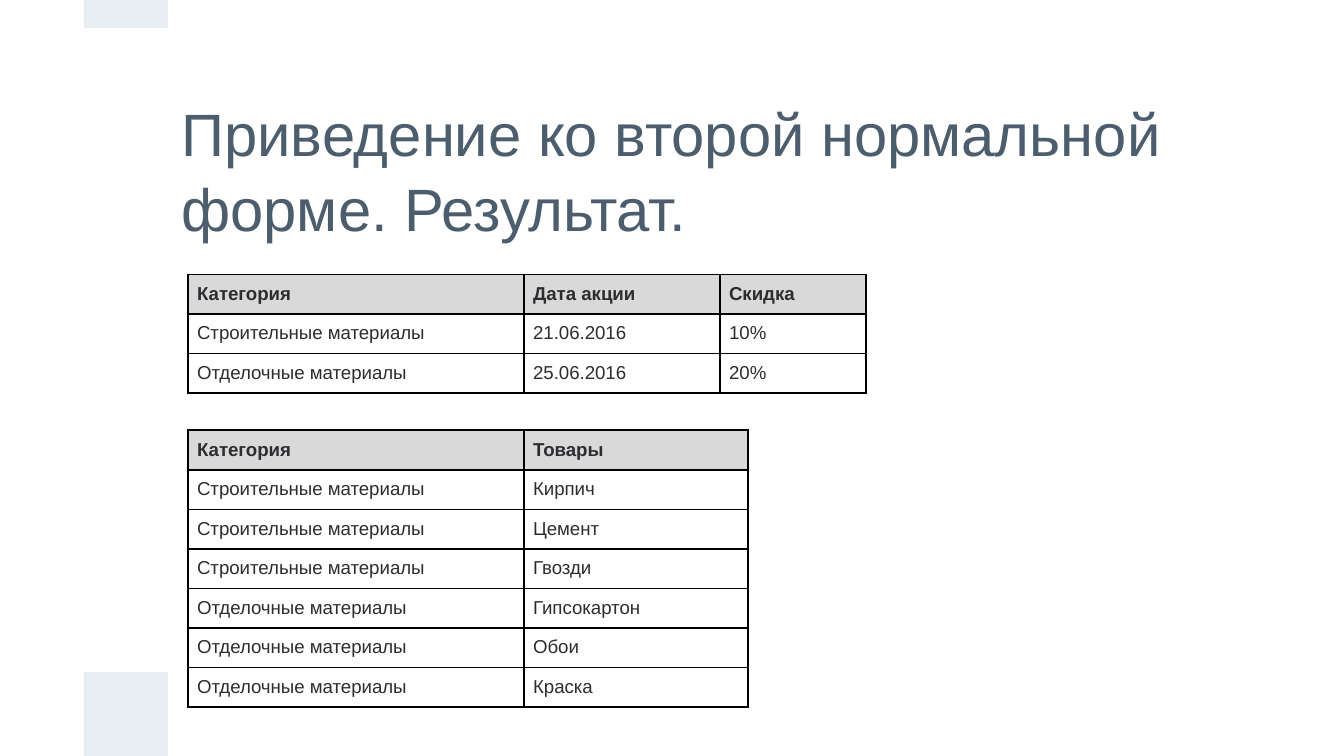
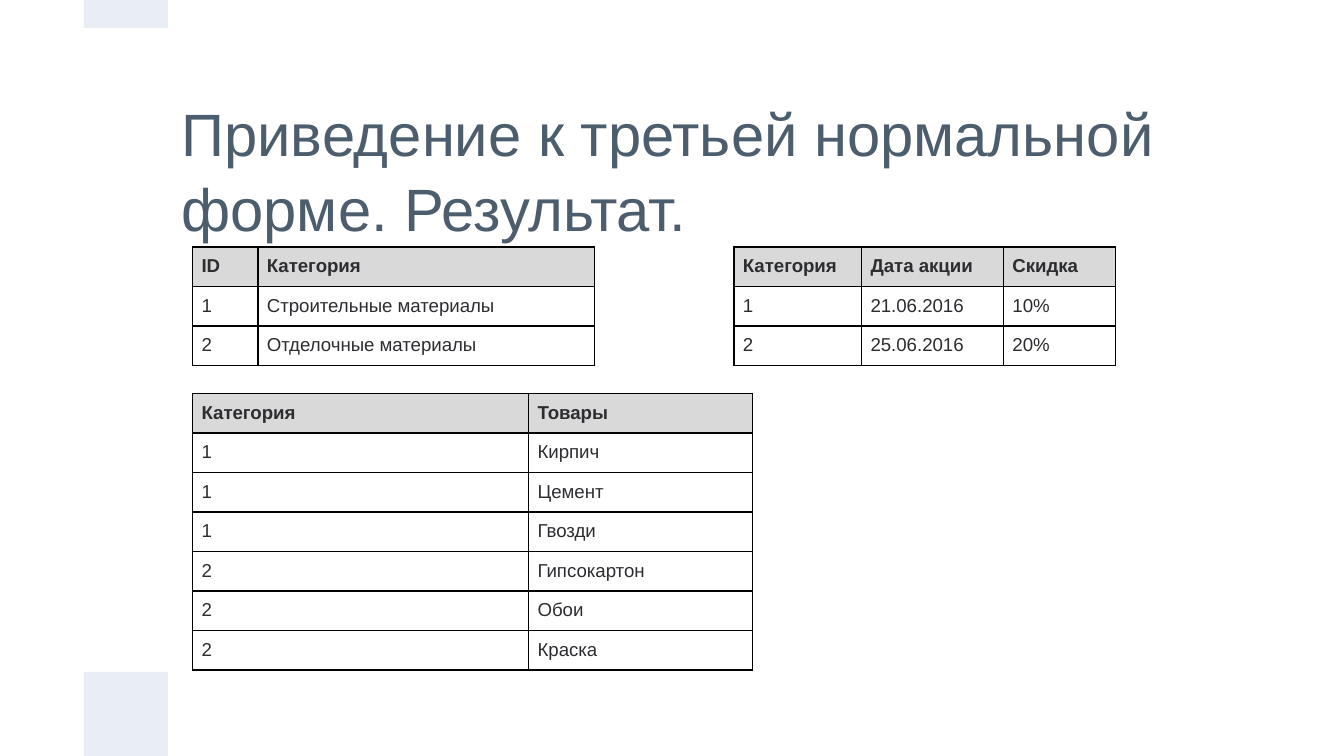
"""Build two slides with the results of bringing tables to normal forms."""
from lxml.etree import SubElement
from pptx import Presentation
from pptx.dml.color import RGBColor
from pptx.enum.shapes import MSO_SHAPE
from pptx.enum.text import MSO_ANCHOR, MSO_AUTO_SIZE, PP_ALIGN
from pptx.oxml import parse_xml
from pptx.oxml.ns import nsdecls, qn
from pptx.util import Pt

TITLE_COLOR = RGBColor(0x4C, 0x5D, 0x6E)
BAND_COLOR = RGBColor(0xE9, 0xED, 0xF4)
HEADER_COLOR = RGBColor(0xD9, 0xD9, 0xD9)
TEXT_COLOR = RGBColor(0x2C, 0x2D, 0x30)
BORDER_COLOR = RGBColor(0, 0, 0)
FONT = "Arial"
ROW_HEIGHT = 21.2

BUILDING = "Строительные материалы"
FINISHING = "Отделочные материалы"
GOODS = {
    BUILDING: ["Кирпич", "Цемент", "Гвозди"],
    FINISHING: ["Гипсокартон", "Обои", "Краска"],
}
OFFERS = {BUILDING: ("21.06.2016", "10%"), FINISHING: ("25.06.2016", "20%")}
IDS = {BUILDING: "1", FINISHING: "2"}
NAMES = {name: name for name in GOODS}


class NormalFormDeck:
    def __init__(self):
        self.deck = Presentation()
        self.deck.slide_width = Pt(720)
        self.deck.slide_height = Pt(405)
        self.page = None

    def add_page(self, title):
        self.page = self.deck.slides.add_slide(self.deck.slide_layouts[0])
        subtitle = self.page.placeholders[1].element
        subtitle.getparent().remove(subtitle)
        self.add_title(title)
        self.add_band(360, 45)
        self.add_band(0, 15)

    def style(self, span, size, color, bold=False):
        span.font.name = FONT
        span.font.size = Pt(size)
        span.font.bold = bold
        span.font.color.rgb = color

    def add_title(self, text):
        box = self.page.shapes.title
        box.left, box.top, box.width, box.height = Pt(90), Pt(45), Pt(540), Pt(90)
        frame = box.text_frame
        frame.text = text
        frame.word_wrap = True
        frame.auto_size = MSO_AUTO_SIZE.NONE
        frame.vertical_anchor = MSO_ANCHOR.MIDDLE
        frame.margin_left = frame.margin_right = Pt(7.2)
        frame.margin_top = frame.margin_bottom = Pt(7.2)
        para = frame.paragraphs[0]
        para.alignment = PP_ALIGN.LEFT
        para.line_spacing = 1.05
        self.style(para.runs[0], 32, TITLE_COLOR)

    def add_band(self, top, height):
        band = self.page.shapes.add_shape(
            MSO_SHAPE.RECTANGLE, Pt(45), Pt(top), Pt(45), Pt(height))
        band.shadow.inherit = False
        band.fill.solid()
        band.fill.fore_color.rgb = BAND_COLOR
        band.line.fill.background()

    def add_table(self, left, top, widths, rows):
        table = self.page.shapes.add_table(
            len(rows), len(widths), Pt(left), Pt(top),
            Pt(sum(widths)), Pt(ROW_HEIGHT * len(rows))).table
        table.horz_banding = False
        for column, width in zip(table.columns, widths):
            column.width = Pt(width)
        for index, row in enumerate(rows):
            table.rows[index].height = Pt(ROW_HEIGHT)
            for cell, text in zip(table.rows[index].cells, row):
                self.fill_cell(cell, text, index == 0)

    def fill_cell(self, cell, text, header):
        cell.text_frame.text = text
        self.style(cell.text_frame.paragraphs[0].runs[0], 10, TEXT_COLOR, header)
        cell.margin_left = cell.margin_right = Pt(4.8)
        cell.margin_top = cell.margin_bottom = Pt(4.8)
        if header:
            cell.fill.solid()
            cell.fill.fore_color.rgb = HEADER_COLOR
        else:
            cell.fill.background()
        self.add_borders(cell)

    def add_borders(self, cell):
        properties = cell._tc.get_or_add_tcPr()
        for position, side in enumerate(("lnL", "lnR", "lnT", "lnB")):
            line = parse_xml(f'<a:{side} {nsdecls("a")} w="{Pt(1)}"/>')
            fill = SubElement(line, qn("a:solidFill"))
            SubElement(fill, qn("a:srgbClr"), val=str(BORDER_COLOR))
            properties.insert(position, line)

    def add_offers(self, left, top, widths, keys):
        rows = [(keys[name], *offer) for name, offer in OFFERS.items()]
        self.add_table(left, top, widths, [("Категория", "Дата акции", "Скидка"), *rows])

    def add_goods(self, left, top, keys):
        rows = [(keys[name], item) for name, items in GOODS.items() for item in items]
        self.add_table(left, top, (180, 120), [("Категория", "Товары"), *rows])

    def add_categories(self, left, top):
        rows = [(key, name) for name, key in IDS.items()]
        self.add_table(left, top, (35, 180.4), [("ID", "Категория"), *rows])


def main():
    slides = NormalFormDeck()
    slides.add_page("Приведение ко второй нормальной форме. Результат.")
    slides.add_offers(100.8, 147, (180, 105, 78), NAMES)
    slides.add_goods(100.8, 230.5, NAMES)

    slides.add_page("Приведение к третьей нормальной форме. Результат.")
    slides.add_categories(103.2, 132.2)
    slides.add_offers(393.2, 132.2, (68.4, 76, 60), IDS)
    slides.add_goods(103.2, 210.8, IDS)
    slides.deck.save("out.pptx")


if __name__ == "__main__":
    main()
